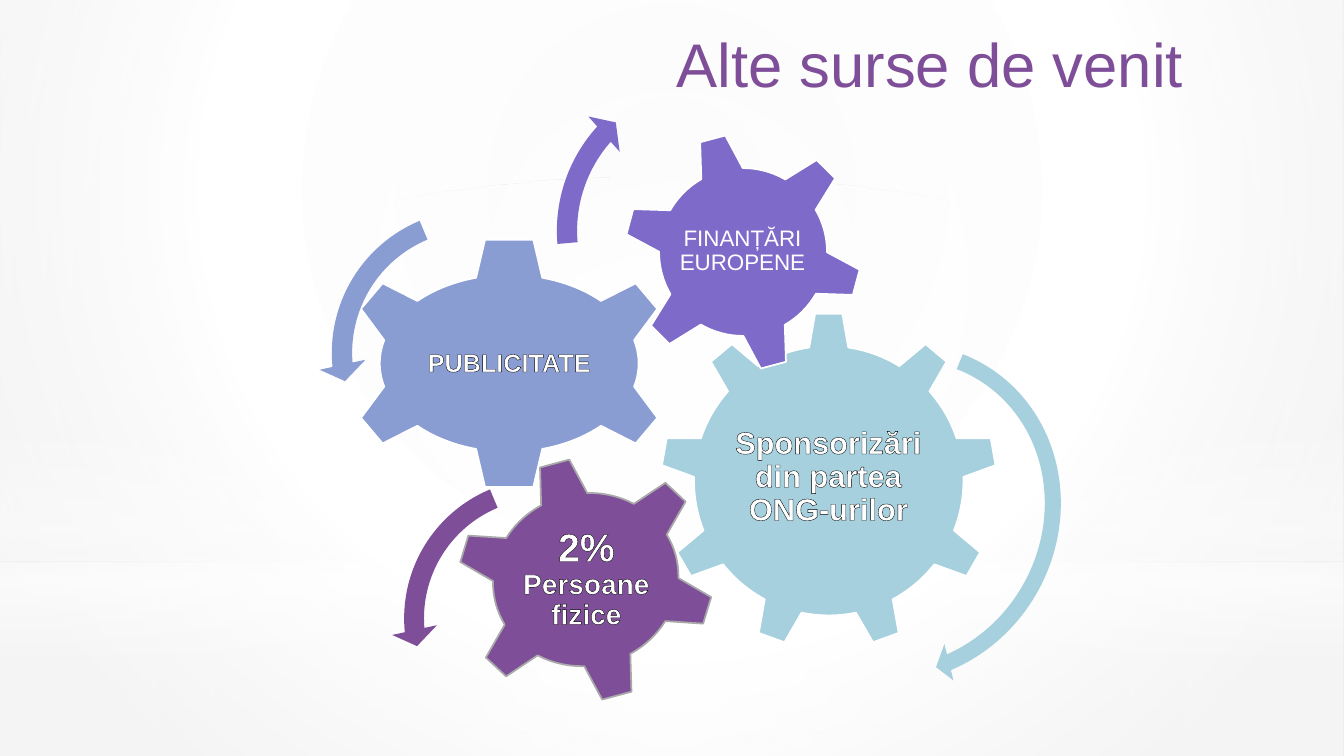
"""Build the slide on other sources of income, with four gears and their arrows."""
from pptx import Presentation
from pptx.dml.color import RGBColor as RGB
from pptx.enum.shapes import MSO_SHAPE as Shape
from pptx.enum.text import MSO_ANCHOR as Anchor, PP_ALIGN as Align
from pptx.oxml import parse_xml
from pptx.oxml.ns import nsdecls, qn
from pptx.util import Inches, Pt

HUE = {"white": "FFFFFF", "black": "000000", "aqua": "A6D0DE", "blue": "899DD3",
       "violet": "7E6BC9", "plum": "7E4E99", "grey": "A9A9A9",
       "pale": "F4F4F4", "ash": "CCCCCC"}


def shade(node, stops, rect):
    """Swap the gradient in node for one with these stops; no rect means top to bottom."""
    old = next(node.iter(qn("a:gradFill")))
    marks = "".join(
        f'<a:gs pos="{pos * 1000}"><a:srgbClr val="{HUE[hue]}">'
        f'<a:alpha val="{alpha * 1000}"/></a:srgbClr></a:gs>'
        for pos, hue, alpha in stops)
    if rect:
        sides = " ".join(f'{side}="{val * 1000}"' for side, val in zip("ltrb", rect))
        way = f'<a:path path="circle"><a:fillToRect {sides}/></a:path>'
    else:
        way = '<a:lin ang="5400000" scaled="0"/>'
    new = parse_xml(f'<a:gradFill {nsdecls("a")} rotWithShape="1">'
                    f'<a:gsLst>{marks}</a:gsLst>{way}</a:gradFill>')
    old.getparent().replace(old, new)


def write(para, text, size, hue, bold=False, edge=None, width=0.75):
    """Add a run of text, outlined when an edge colour is given."""
    run = para.add_run()
    run.text = text
    look = {"name": "Arial", "size": Pt(size), "bold": bold}
    for key, val in look.items():
        setattr(run.font, key, val)
    run.font.color.rgb = RGB.from_string(HUE[hue])
    if edge:
        line = parse_xml(f'<a:ln {nsdecls("a")} w="{Pt(width)}"><a:solidFill>'
                         f'<a:srgbClr val="{HUE[edge]}"/></a:solidFill></a:ln>')
        run.font._element.insert(0, line)


deck = Presentation()
deck.slide_width, deck.slide_height = Inches(13.33), Inches(7.5)
slide = deck.slides.add_slide(deck.slide_layouts[5])
shapes = slide.shapes

slide.background.fill.gradient()
shade(slide._element, [(0, "pale", 100), (60, "white", 100), (100, "ash", 100)],
      (20, 10, 20, 60))

mid = (50, 50, 50, 50)
veils = [
    (Shape.RECTANGLE, 5.58, 1.92, [(0, 91), (37, 76), (100, 79)], mid),
    (Shape.RECTANGLE, 0, 5.58, [(0, 89), (48, 62), (100, 79)], mid),
    (Shape.RECTANGLE, 4.12, 2.5,
     [(0, 0), (29, 30), (45, 40), (55, 26), (65, 60), (100, 0)], None),
    (Shape.OVAL, 1.75, 5.58, [(0, 100), (56, 0)], mid),
]
for kind, top, high, stops, rect in veils:
    veil = shapes.add_shape(kind, 0, Inches(top), deck.slide_width, Inches(high))
    veil.shadow.inherit = False
    veil.line.fill.background()
    veil.fill.gradient()
    shade(veil._element, [(pos, "white", alpha) for pos, alpha in stops], rect)

gears = [
    (Shape.GEAR_9, (6.55, 3.1, 3.34, 3.34), 0, "aqua", "white", (7.22, 3.88, 1.99, 1.71),
     [("Sponsorizări din partea ONG-urilor", 22)], "black"),
    (Shape.GEAR_6, (3.39, 2.35, 3.32, 2.51), 0, "blue", "white", (4.14, 2.99, 1.82, 1.24),
     [("PUBLICITATE", 18)], "black"),
    (Shape.GEAR_6, (6.18, 1.31, 2.38, 2.38), 345, "violet", "white", (6.7, 1.83, 1.33, 1.33),
     [("FINANȚĂRI EUROPENE", 16)], None),
    (Shape.GEAR_6, (4.52, 4.53, 2.58, 2.44), 345, "plum", "grey", (5.09, 5.06, 1.45, 1.37),
     [("2% ", 28), ("Persoane fizice", 20)], "black"),
]
for kind, spot, turn, hue, rim, room, runs, edge in gears:
    gear = shapes.add_shape(kind, *map(Inches, spot))
    gear.rotation = turn
    gear.shadow.inherit = False
    gear.fill.solid()
    gear.fill.fore_color.rgb = RGB.from_string(HUE[hue])
    gear.line.color.rgb = RGB.from_string(HUE[rim])
    gear.line.width = Pt(1.25)

    frame = shapes.add_textbox(*map(Inches, room)).text_frame
    pad = Inches(0.03 if edge else 0.02)
    form = {"word_wrap": True, "vertical_anchor": Anchor.MIDDLE, "margin_left": pad,
            "margin_top": pad, "margin_right": pad, "margin_bottom": pad}
    for key, val in form.items():
        setattr(frame, key, val)
    para = frame.paragraphs[0]
    para.alignment, para.line_spacing = Align.CENTER, 0.9
    for text, size in runs:
        write(para, text, size, "white", bool(edge), edge)

left = (0.065, 4.3, 104.89, 148.38, 0.075)
arrows = [
    (Shape.CIRCULAR_ARROW, (7.21, 3.28, 3.39, 3.63), 28.7, "aqua",
     (0.047, 2.99, 25.41, 158.09, 0.055)),
    (Shape.LEFT_CIRCULAR_ARROW, (3.16, 1.95, 3.1, 3.1), 0, "blue", left),
    (Shape.CIRCULAR_ARROW, (5.39, 0.62, 3.34, 3.34), 0, "violet",
     (0.06, 3.94, 133.14, 105.08, 0.07)),
    (Shape.LEFT_CIRCULAR_ARROW, (3.88, 4.62, 3.03, 3.03), 0, "plum", left),
]
for kind, spot, turn, hue, bends in arrows:
    arrow = shapes.add_shape(kind, *map(Inches, spot))
    arrow.rotation = turn
    arrow.shadow.inherit = False
    arrow.fill.solid()
    arrow.fill.fore_color.rgb = RGB.from_string(HUE[hue])
    arrow.line.fill.background()
    for num, bend in enumerate(bends):
        arrow.adjustments[num] = bend

title = shapes.title
place = {"left": 6.61, "top": 0.2, "width": 6.41, "height": 0.84}
for key, val in place.items():
    setattr(title, key, Inches(val))
title.text_frame.vertical_anchor = Anchor.BOTTOM
head = title.text_frame.paragraphs[0]
head.alignment = Align.LEFT
write(head, "Alte surse de venit", 44, "plum", edge="plum", width=2.48)
shapes._spTree.append(title._element)

deck.save("out.pptx")
